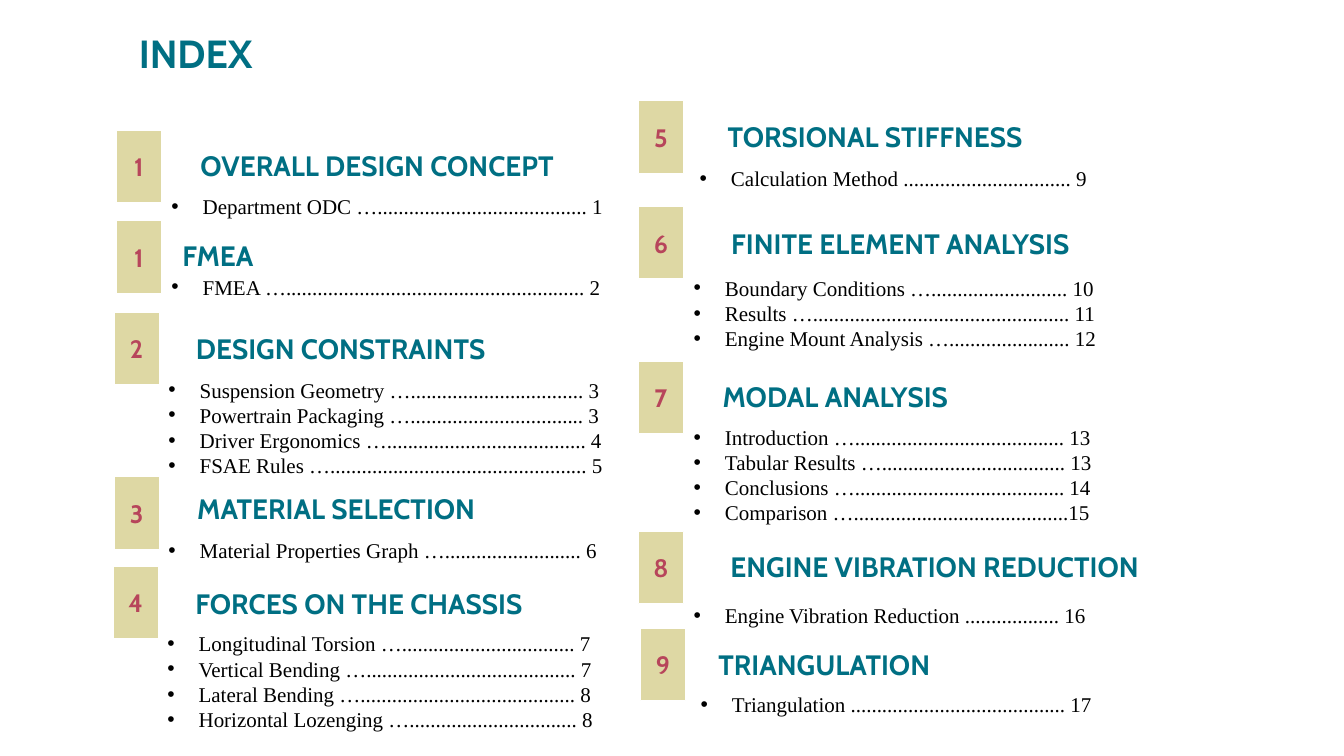
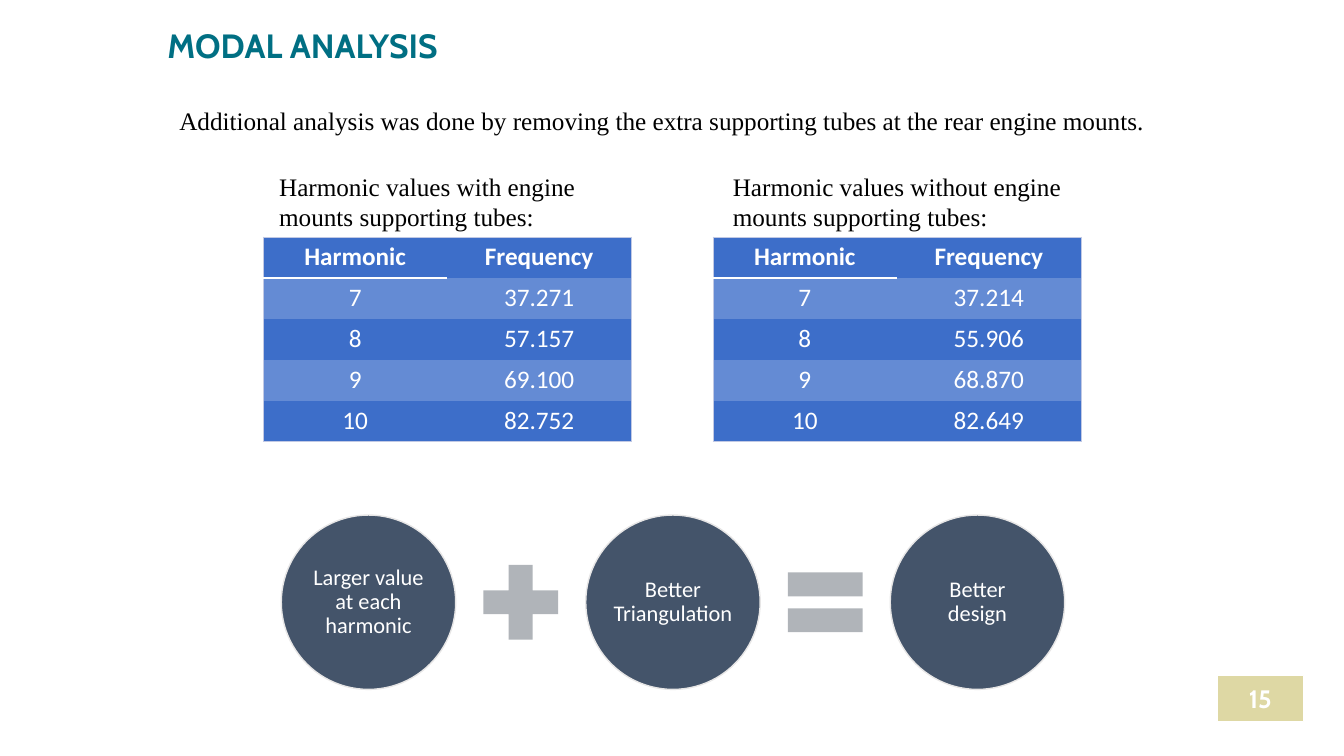
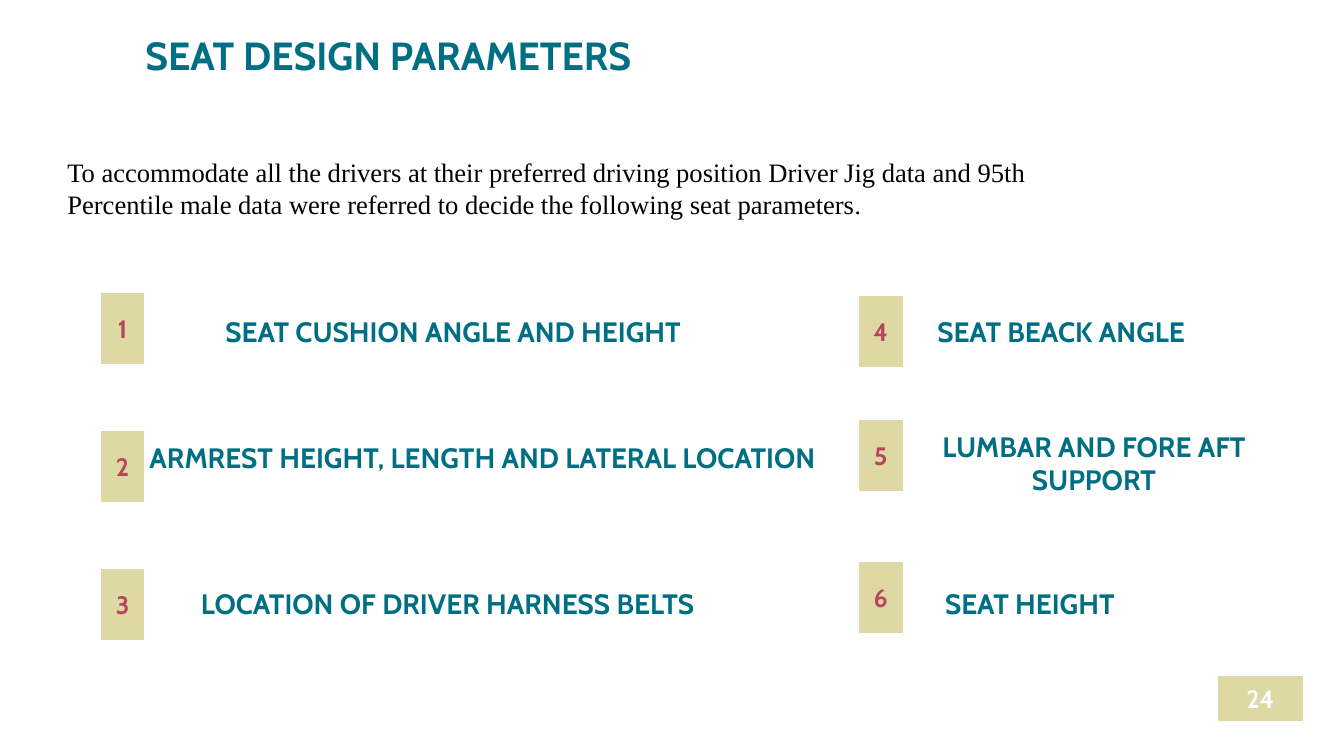
from collections import namedtuple
from copy import deepcopy
from dataclasses import dataclass

from lxml import etree
from pptx import Presentation
from pptx.dml.color import RGBColor as RGB
from pptx.enum.shapes import MSO_SHAPE as Geometry
from pptx.enum.text import MSO_ANCHOR as Anchor, MSO_AUTO_SIZE as AutoSize, PP_ALIGN as Align
from pptx.oxml.ns import qn
from pptx.util import Inches, Pt

Style = namedtuple("Style", "font size color bold")


@dataclass(frozen=True)
class Theme:
    teal: str = "006F83"
    sand: str = "DED8A4"
    white: str = "FFFFFF"
    slate: str = "44546A"
    pale: str = "E7E6E6"
    operator: str = "B0B4B9"
    table: str = "3D6EC9"
    table_band: str = "648BD4"
    table_edge: str = "C1C9E4"
    title: Style = Style("Cabin", 28, "006F83", True)
    small_title: Style = Style("Cabin", 24, "006F83", True)
    heading: Style = Style("Cabin", 20, "006F83", True)
    number: Style = Style("Cabin", 18, "B7455B", True)
    page: Style = Style("Cabin", 18, "FFFFFF", True)
    entry: Style = Style("Times New Roman", 15, "000000", False)
    caption: Style = Style("Times New Roman", 18, "000000", False)
    intro: Style = Style("Times New Roman", 19, "000000", False)
    circle: Style = Style("Calibri", 16, "FFFFFF", False)
    table_head: Style = Style("Calibri", 18, "FFFFFF", True)
    table_cell: Style = Style("Calibri", 18, "FFFFFF", False)


theme = Theme()


def write(frame, lines, style, align=Align.CENTER, anchor=Anchor.TOP):
    """Fill a text frame with one paragraph per line, in one style."""
    frame.word_wrap = True
    frame.auto_size = AutoSize.NONE
    frame.vertical_anchor = anchor
    for position, line in enumerate(lines):
        paragraph = frame.add_paragraph() if position else frame.paragraphs[0]
        paragraph.alignment = align
        paragraph.space_before = Pt(0)
        run = paragraph.add_run()
        run.text = line
        run.font.name = style.font
        run.font.size = Pt(style.size)
        run.font.bold = style.bold
        run.font.color.rgb = RGB.from_string(style.color)


def add_figure(slide, geometry, box, fill, line=None, text=None, style=None):
    """Add a filled preset shape, with an outline and centred text if given."""
    figure = slide.shapes.add_shape(geometry, *map(Inches, box))
    figure.shadow.inherit = False
    figure.fill.solid()
    figure.fill.fore_color.rgb = RGB.from_string(fill)
    if line:
        figure.line.color.rgb = RGB.from_string(line)
        figure.line.width = Pt(1)
    else:
        figure.line.fill.background()
    if text:
        write(figure.text_frame, [text], style, anchor=Anchor.MIDDLE)
    return figure


deck = Presentation()
deck.slide_width, deck.slide_height = Inches(13.33), Inches(7.5)

BADGE = (0.45, 0.72)
HEADING_HEIGHT = 0.44

# Index sections: number, badge place, heading, heading left/top/width, list place, entries
sections = [
    ("1", (1.15, 1.29), "OVERALL DESIGN CONCEPT", (1.3, 1.42, 4.88), (1.6, 1.87),
     ["Department ODC …........................................ 1"]),
    ("1", (1.15, 2.19), "FMEA", (1.3, 2.32, 1.72), (1.6, 2.67),
     ["FMEA …......................................................... 2"]),
    ("2", (1.13, 3.1), "DESIGN CONSTRAINTS", (1.25, 3.24, 4.26), (1.57, 3.69),
     ["Suspension Geometry …................................. 3",
      "Powertrain Packaging …................................. 3",
      "Driver Ergonomics …...................................... 4",
      "FSAE Rules …................................................. 5"]),
    ("3", (1.13, 4.73), "MATERIAL SELECTION", (1.35, 4.83, 3.97), (1.57, 5.28),
     ["Material Properties Graph ….......................... 6"]),
    ("4", (1.12, 5.62), "FORCES ON THE CHASSIS", (1.41, 5.77, 4.3), (1.56, 6.21),
     ["Longitudinal Torsion …................................. 7",
      "Vertical Bending …........................................ 7",
      "Lateral Bending …......................................... 8",
      "Horizontal Lozenging …................................ 8"]),
    ("5", (6.33, 1), "TORSIONAL STIFFNESS", (6.78, 1.14, 3.8), (6.84, 1.59),
     ["Calculation Method ................................ 9"]),
    ("6", (6.33, 2.05), "FINITE ELEMENT ANALYSIS", (6.78, 2.2, 4.3), (6.78, 2.68),
     ["Boundary Conditions ….......................... 10",
      "Results …................................................. 11",
      "Engine Mount Analysis …....................... 12"]),
    ("7", (6.33, 3.58), "MODAL ANALYSIS", (6.5, 3.72, 3.57), (6.78, 4.16),
     ["Introduction …........................................ 13",
      "Tabular Results …................................... 13",
      "Conclusions …........................................ 14",
      "Comparison ….........................................15"]),
    ("8", (6.33, 5.27), "ENGINE VIBRATION REDUCTION", (6.85, 5.4, 4.84), (6.78, 5.93),
     ["Engine Vibration Reduction .................. 16"]),
    ("9", (6.35, 6.23), "TRIANGULATION", (6.85, 6.37, 2.65), (6.85, 6.81),
     ["Triangulation ......................................... 17"]),
]

# Give the index layout one body placeholder per section
index_layout, title_layout = deck.slide_layouts[1], deck.slide_layouts[5]
layout_body = index_layout.placeholders[1].element
for extra in range(len(sections) - 1):
    body_copy = deepcopy(layout_body)
    body_copy.xpath(".//p:cNvPr")[0].set("id", str(50 + extra))
    body_copy.xpath(".//p:ph")[0].set("idx", str(50 + extra))
    layout_body.addnext(body_copy)

# Slides with their titles and page numbers
slides = []
for layout, title, box, style, page in [
    (index_layout, "INDEX", (0.44, 0.24, 3, 0.57), theme.title, None),
    (title_layout, "MODAL ANALYSIS", (1, 0.2, 4, 0.5), theme.small_title, "15"),
    (title_layout, "SEAT DESIGN PARAMETERS", (0.67, 0.26, 6.36, 0.57), theme.title, "24"),
]:
    slide = deck.slides.add_slide(layout)
    heading = slide.shapes.title
    heading.left, heading.top, heading.width, heading.height = map(Inches, box)
    write(heading.text_frame, [title], style)
    if page:
        add_figure(slide, Geometry.RECTANGLE, (12.07, 6.7, 0.86, 0.46),
                   theme.sand, theme.white, page, theme.page)
    slides.append(slide)
index, modal, seat = slides

# Index: badge, heading and bulleted entries of each section
bodies = [holder for holder in index.placeholders if holder.placeholder_format.idx]
for body, (number, badge, name, (left, top, width), place, entries) in zip(bodies, sections):
    add_figure(index, Geometry.RECTANGLE, badge + BADGE,
               theme.sand, theme.white, number, theme.number)
    label = index.shapes.add_textbox(*map(Inches, (left, top, width, HEADING_HEIGHT)))
    write(label.text_frame, [name], theme.heading)
    body.left, body.top = map(Inches, place)
    body.width, body.height = Inches(4.59), Inches(0.1 + 0.25 * len(entries))
    write(body.text_frame, entries, theme.entry, Align.LEFT)
    for paragraph in body.text_frame.paragraphs:
        indents = paragraph._p.get_or_add_pPr()
        indents.set("marL", str(Inches(0.31)))
        indents.set("indent", str(-Inches(0.31)))

# Modal analysis: introduction and table captions
for text, box in [
    ("Additional analysis was done by removing the extra supporting tubes at the rear "
     "engine mounts.", (1.68, 1, 9.97, 0.4)),
    ("Harmonic values with engine mounts supporting tubes:", (2.67, 1.65, 3.46, 0.71)),
    ("Harmonic values without engine mounts supporting tubes:", (7.17, 1.65, 3.46, 0.71)),
]:
    caption = modal.shapes.add_textbox(*map(Inches, box))
    write(caption.text_frame, [text], theme.caption, Align.LEFT)

# Modal analysis: frequency tables
harmonics = ["7", "8", "9", "10"]
for left, frequencies in [
    (2.61, ["37.271", "57.157", "69.100", "82.752"]),
    (7.07, ["37.214", "55.906", "68.870", "82.649"]),
]:
    rows = [("Harmonic", "Frequency"), *zip(harmonics, frequencies)]
    holder = modal.shapes.add_table(
        len(rows), 2, *map(Inches, (left, 2.35, 3.65, 2.03)))
    holder.element.xpath(".//a:tableStyleId")[0].text = "{2D5ABB26-0587-4C30-8999-92F81FD0307C}"
    for r, row in enumerate(rows):
        for c, value in enumerate(row):
            cell = holder.table.cell(r, c)
            write(cell.text_frame, [value], theme.table_cell if r else theme.table_head)
            edges = {"L": c == 0, "R": c == 1, "T": r == 0, "B": r == len(rows) - 1}
            for side, outer in edges.items():
                underline = side == "B" and r == 0 and c == 0
                if outer or underline:
                    border = etree.SubElement(cell._tc.get_or_add_tcPr(), qn("a:ln" + side),
                                              w=str(Pt(1.5 if underline else 0.5)))
                    paint = etree.SubElement(border, qn("a:solidFill"))
                    etree.SubElement(paint, qn("a:srgbClr"),
                                     val=theme.white if underline else theme.table_edge)
            cell.fill.solid()
            cell.fill.fore_color.rgb = RGB.from_string(
                theme.table_band if r % 2 else theme.table)

# Modal analysis: circles joined by plus and equals
for step, (text, operator) in enumerate([
    ("Larger value at each harmonic", Geometry.MATH_PLUS),
    ("Better Triangulation", Geometry.MATH_EQUAL),
    ("Better design", None),
]):
    left = 2.79 + 3.02 * step
    circle = add_figure(modal, Geometry.OVAL, (left, 5.11, 1.73, 1.73),
                        theme.slate, theme.pale, text, theme.circle)
    frame = circle.text_frame
    frame.margin_left = frame.margin_right = Inches(0.02)
    frame.margin_top = frame.margin_bottom = Inches(0.02)
    frame.paragraphs[0].line_spacing = 0.9
    if operator:
        add_figure(modal, operator, (left + 1.87, 5.47, 1.01, 1.01), theme.operator)

# Seat design: introduction, ending in a smaller full stop
intro = seat.shapes.add_textbox(*map(Inches, (0.57, 1.5, 10.33, 0.74)))
for text, style in [
    ("To accommodate all the drivers at their preferred driving position Driver Jig data and "
     "95th Percentile male data were referred to decide the following seat parameters",
     theme.intro),
    (".", theme.caption),
]:
    write(intro.text_frame, [text], style, Align.LEFT)

# Seat design: numbered parameters
for number, badge, name, box in [
    ("1", (0.99, 2.9), "SEAT CUSHION ANGLE AND HEIGHT", (1.63, 3.07, 5.73, 0.44)),
    ("2", (0.99, 4.27), "ARMREST HEIGHT, LENGTH AND LATERAL LOCATION", (1.22, 4.32, 7.13, 0.77)),
    ("3", (0.99, 5.64), "LOCATION OF DRIVER HARNESS BELTS", (1.37, 5.77, 6.14, 0.44)),
    ("4", (8.51, 2.93), "SEAT BEACK ANGLE", (8.74, 3.07, 3.57, 0.44)),
    ("5", (8.51, 4.16), "LUMBAR AND FORE AFT SUPPORT", (8.74, 4.21, 4.22, 0.77)),
    ("6", (8.51, 5.57), "SEAT HEIGHT", (8.43, 5.77, 3.57, 0.44)),
]:
    add_figure(seat, Geometry.RECTANGLE, badge + BADGE,
               theme.sand, theme.white, number, theme.number)
    parameter = seat.shapes.add_textbox(*map(Inches, box))
    write(parameter.text_frame, [name], theme.heading)

deck.save("out.pptx")
